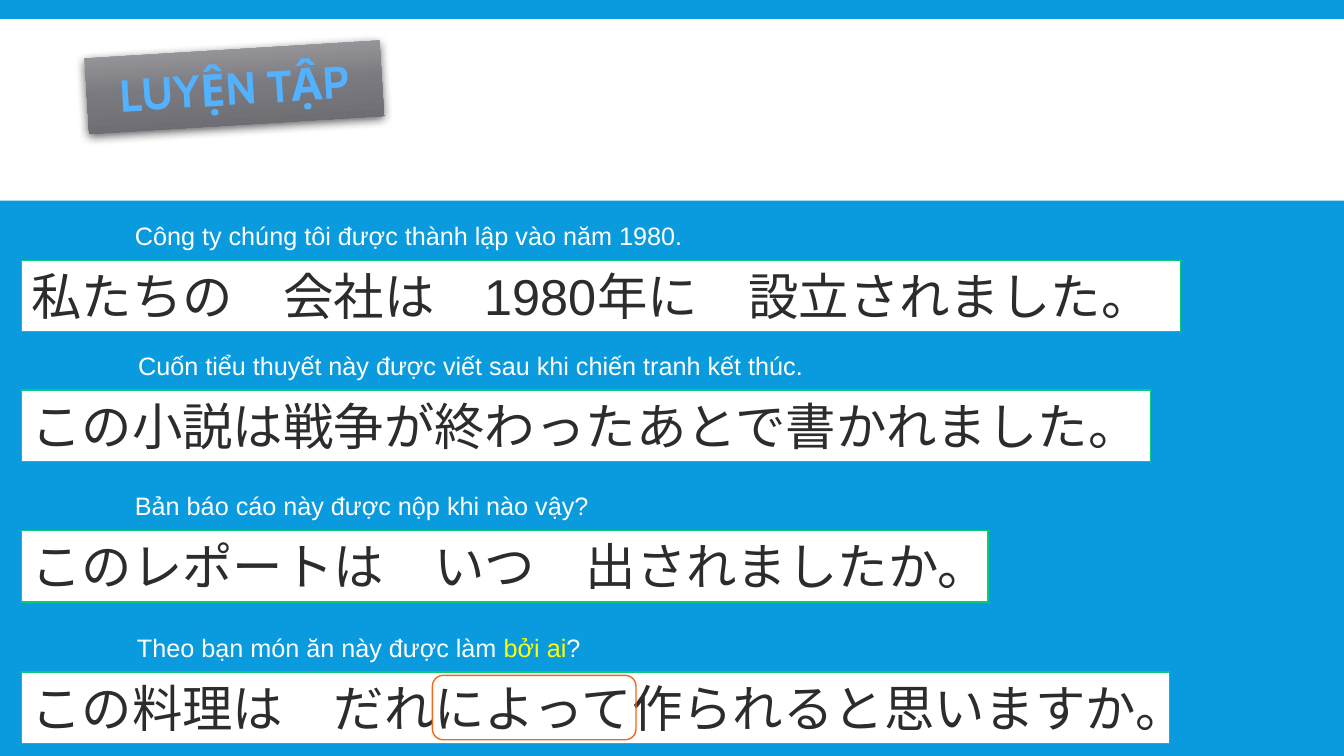
from dataclasses import dataclass

from pptx import Presentation
from pptx.dml.color import RGBColor
from pptx.enum.lang import MSO_LANGUAGE_ID
from pptx.enum.shapes import MSO_SHAPE
from pptx.enum.text import MSO_ANCHOR, MSO_AUTO_SIZE, PP_ALIGN
from pptx.oxml import parse_xml
from pptx.util import Pt

RECTANGLE = MSO_SHAPE.RECTANGLE
ROUNDED = MSO_SHAPE.ROUNDED_RECTANGLE
MIDDLE = MSO_ANCHOR.MIDDLE
CENTER = PP_ALIGN.CENTER
FIXED_SIZE = MSO_AUTO_SIZE.NONE
JAPANESE = MSO_LANGUAGE_ID.JAPANESE
VIETNAMESE = MSO_LANGUAGE_ID.VIETNAMESE
DRAWING = 'xmlns:a="http://schemas.openxmlformats.org/drawingml/2006/main"'


@dataclass(frozen=True)
class Theme:
    blue: str = "099BDD"
    white: str = "FFFFFF"
    yellow: str = "FFFF00"
    green: str = "08CC78"
    orange: str = "F56617"
    ink: str = "2C2C2C"
    title: str = "53B2FF"
    title_outline: str = "F2F2F2"
    badge: tuple = ("A1A1A5", "79797F", "68686D")
    body_font: str = "Arial"
    title_font: str = "Cabin"
    label_size: int = 18
    title_size: int = 32
    sentence_size: int = 36


theme = Theme()


def write(paragraph, text, size, color, font=theme.body_font, bold=False, language=VIETNAMESE):
    run = paragraph.add_run()
    run.text = text
    run.font.size = Pt(size)
    run.font.name = font
    run.font.bold = bold
    run.font.language_id = language
    run.font.color.rgb = RGBColor.from_string(color)
    return run


presentation = Presentation()
presentation.slide_width, presentation.slide_height = Pt(960), Pt(540)
slide = presentation.slides.add_slide(presentation.slide_layouts[5])
title = slide.shapes.title

# Background and white header band
slide.background.fill.solid()
slide.background.fill.fore_color.rgb = RGBColor.from_string(theme.blue)
band = slide.shapes.add_shape(RECTANGLE, Pt(0), Pt(13.7), Pt(960), Pt(129.6))
band.shadow.inherit = False
band.fill.solid()
band.fill.fore_color.rgb = RGBColor.from_string(theme.white)
band.line.fill.background()

# Title badge: tilted, with a grey gradient and a soft shadow
slide.shapes._spTree.append(title._element)
title.left, title.top, title.width, title.height = Pt(61.9), Pt(35.3), Pt(211), Pt(54)
title.rotation = 356.5
stops = "".join(
    f'<a:gs pos="{index * 50000}"><a:srgbClr val="{color}"/></a:gs>'
    for index, color in enumerate(theme.badge)
)
for xml in (
    f'<a:prstGeom {DRAWING} prst="roundRect"><a:avLst/></a:prstGeom>',
    f'<a:gradFill {DRAWING} rotWithShape="1"><a:gsLst>{stops}</a:gsLst><a:lin ang="5400000" scaled="0"/></a:gradFill>',
    f'<a:effectLst {DRAWING}><a:outerShdw blurRad="{Pt(7)}" dist="{Pt(2.2)}" dir="5400000" rotWithShape="0">'
    '<a:srgbClr val="000000"><a:alpha val="63000"/></a:srgbClr></a:outerShdw></a:effectLst>',
):
    title._element.spPr.append(parse_xml(xml))
title.text_frame.auto_size = FIXED_SIZE
title.text_frame.vertical_anchor = MIDDLE
heading = title.text_frame.paragraphs[0]
heading.alignment = CENTER
title_run = write(heading, "LUYỆN TẬP", theme.title_size, theme.title, font=theme.title_font, bold=True)
title_run.font._element.insert(0, parse_xml(
    f'<a:ln {DRAWING} w="{Pt(1)}"><a:solidFill><a:srgbClr val="{theme.title_outline}"/></a:solidFill></a:ln>'
))

# Exercises: label left and width, label runs, sentence top and width, sentence
exercises = [
    (89.3, 418, [("Công ty chúng tôi được thành lập vào năm 1980.", theme.white)],
     185.9, 828, "私たちの　会社は　1980年に　設立されました。"),
    (91.6, 541, [("Cuốn tiểu thuyết này được viết sau khi chiến tranh kết thúc.", theme.white)],
     278.5, 806.4, "この小説は戦争が終わったあとで書かれました。"),
    (89.3, 386, [("Bản báo cáo này được nộp khi nào vậy?", theme.white)],
     379, 690.5, "このレポートは　いつ　出されましたか。"),
    (90.7, 386, [("Theo bạn món ăn này được làm ", theme.white), ("bởi ai", theme.yellow), ("?", theme.white)],
     480.1, 820, "この料理は　だれによって作られると思いますか。"),
]
for label_left, label_width, label_runs, top, width, sentence in exercises:
    label = slide.shapes.add_textbox(Pt(label_left), Pt(top - 32), Pt(label_width), Pt(29))
    label.text_frame.word_wrap = True
    for text, color in label_runs:
        write(label.text_frame.paragraphs[0], text, theme.label_size, color)

    box = slide.shapes.add_textbox(Pt(15.3), Pt(top), Pt(width), Pt(51))
    box.fill.solid()
    box.fill.fore_color.rgb = RGBColor.from_string(theme.white)
    box.line.color.rgb = RGBColor.from_string(theme.green)
    box.line.width = Pt(1)
    box.text_frame.word_wrap = True
    box.text_frame.margin_right = Pt(0)
    write(box.text_frame.paragraphs[0], sentence, theme.sentence_size, theme.ink, language=JAPANESE)

# Outline around the agent particle
highlight = slide.shapes.add_shape(ROUNDED, Pt(308.9), Pt(482.4), Pt(145.4), Pt(46))
highlight.shadow.inherit = False
highlight.fill.background()
highlight.line.color.rgb = RGBColor.from_string(theme.orange)
highlight.line.width = Pt(1)

presentation.save("out.pptx")
